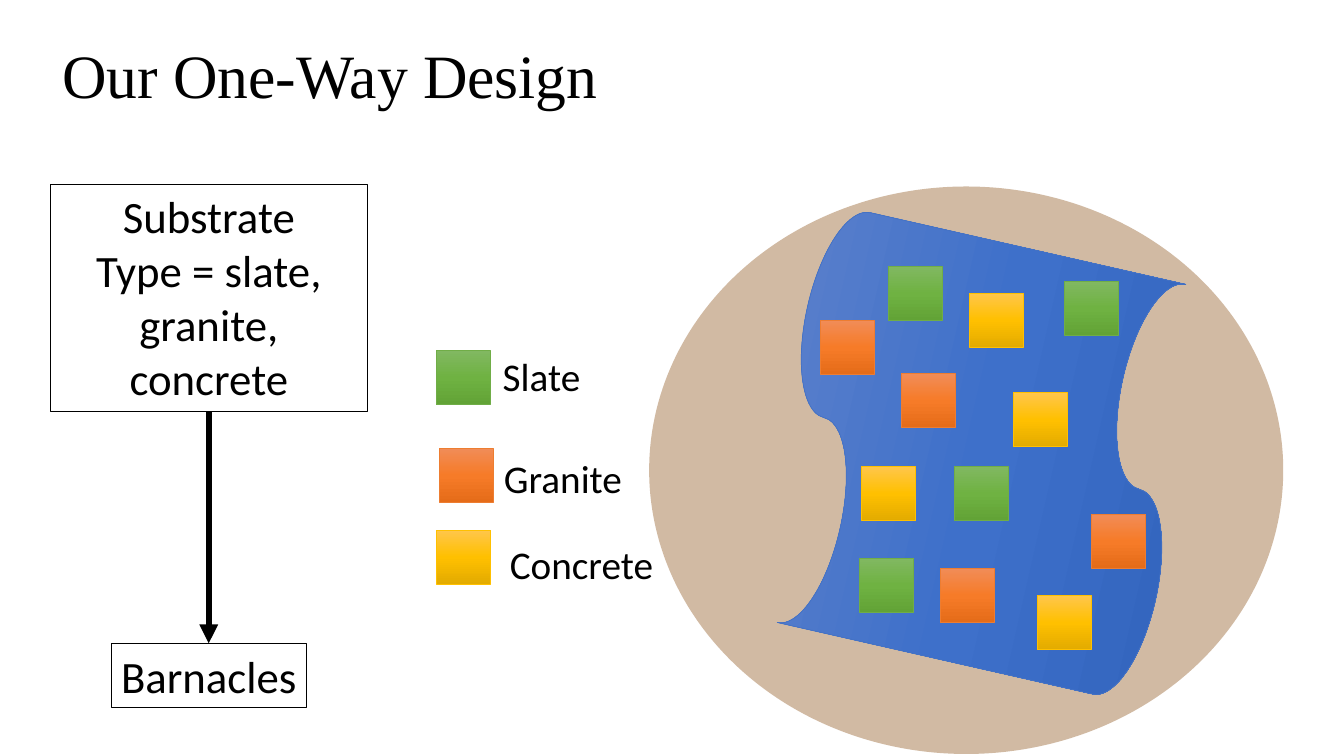
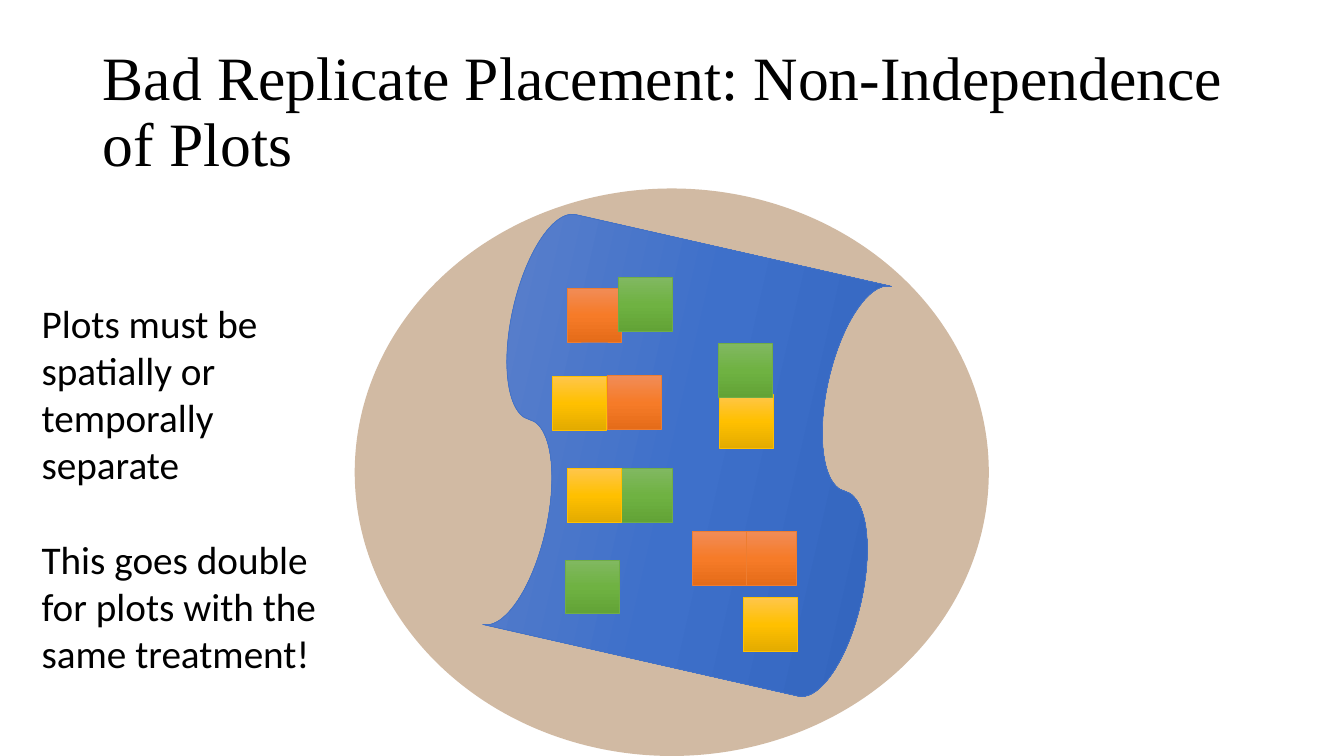
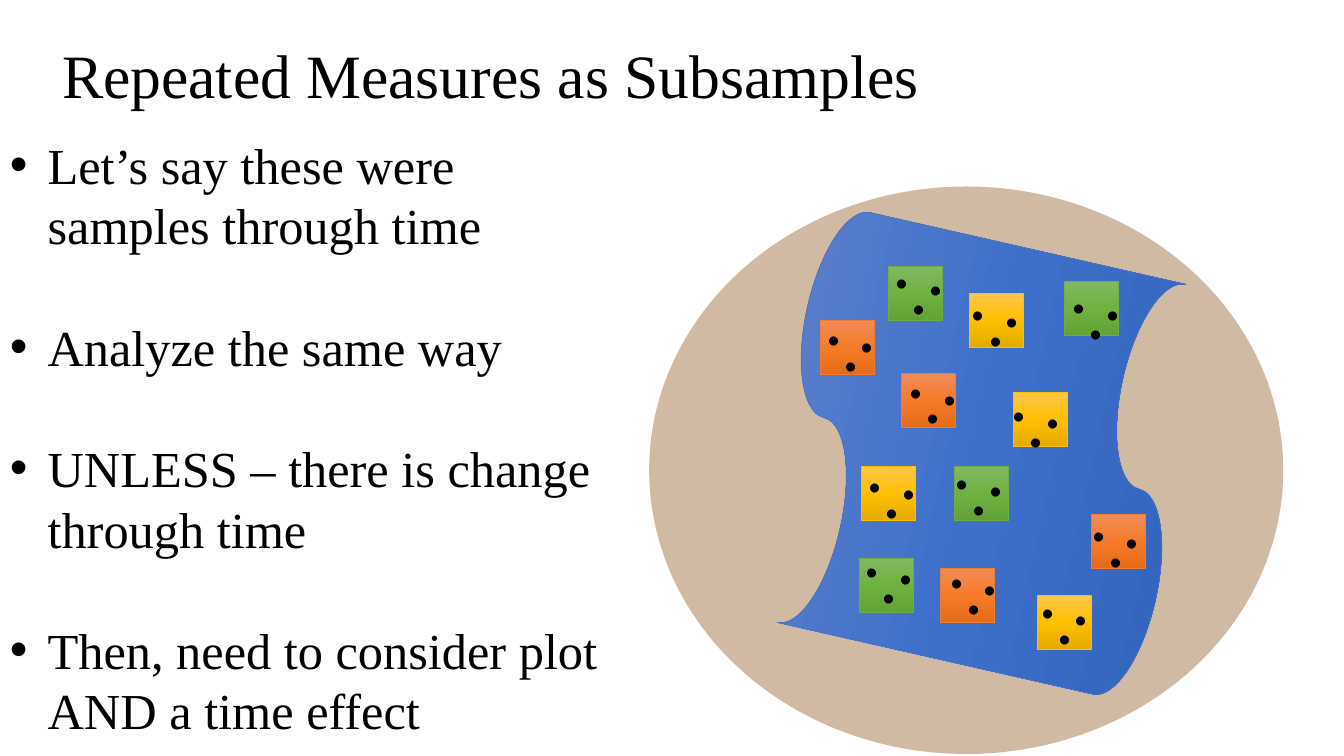
"""Build three slides on plot placement in a tide pool; lengths are in cm."""
from copy import deepcopy

from lxml.etree import SubElement
from pptx import Presentation
from pptx.dml.color import RGBColor
from pptx.enum.shapes import MSO_CONNECTOR as LINK, MSO_SHAPE as FORM
from pptx.enum.text import MSO_ANCHOR as ANCHOR, PP_ALIGN as ALIGN
from pptx.oxml.ns import qn
from pptx.util import Cm, Pt

rgb = RGBColor.from_string
BLACK, SAND = "000000", "996633"
WATER = ["6183CB", "3E70CA", "3062BB", "4472C4"]
STONES = {
    "Granite": ["F18C57", "F67B28", "E56C19", "ED7D31"],
    "Slate": ["81B861", "6FB242", "62A336", "70AD47"],
    "Concrete": ["FFC64B", "FFC000", "E3AB00", "FFC000"],
}

SERIF, SANS = "Times New Roman", "Calibri"
HEAD = {"name": SERIF, "size": Pt(44)}
BODY = {"name": SERIF, "size": Pt(36)}
BOX = {"name": SANS, "size": Pt(32)}
NOTE = {"name": SANS, "size": Pt(28)}
DOT = {"name": SANS, "size": Pt(54)}

SIDE = 1.36
INDENT = 0.95
RIGHT, MIDDLE = (16.36, 4.7), (8.94, 4.75)
HIGH, LOW = (1.32, 0.13), (2.34, 1.02)

SPREAD = [
    [(4.32, 3.38), (6.02, 2.02), (8.06, 2.69)],
    [(6.35, 4.72), (5.31, 9.37), (9.17, 5.2)],
    [(11.15, 8.26), (7.69, 7.06), (9.78, 10.31)],
    [(7.34, 9.63), (10.46, 2.39), (5.36, 7.06)],
]
PACKED = [
    [(5.36, 2.51), (6.64, 2.24), (4.98, 4.73)],
    [(6.36, 4.72), (5.31, 9.36), (9.19, 5.19)],
    [(9.78, 8.64), (6.64, 7.06), (9.79, 10.31)],
    [(8.51, 8.64), (9.16, 3.91), (5.36, 7.06)],
]
NUDGES = [
    [(-0.16, -1.4), (-0.14, -1.48), (-0.25, -1.34)],
    [(-0.12, -1.42), (-0.18, -1.55), (-0.33, -1.3)],
    [(-0.31, -1.34), (-0.3, -1.45), (-0.23, -1.45)],
    [(-0.08, -1.53), (-0.12, -1.22), (-0.16, -1.37)],
]
TRIO = [(0.43, 0.65), (0, 0), (0.85, 0.18)]


def draw(slide, kind, box, hues):
    """Add a shape with three gradient stops and a line in the fourth hue."""
    shape = slide.shapes.add_shape(kind, *map(Cm, box))
    shape.shadow.inherit = False
    shape.fill.gradient()
    shape.fill.gradient_angle = 270
    stops = shape._element.xpath(".//a:gsLst")[0]
    stops.insert(1, deepcopy(stops[0]))
    for stop, place, hue in zip(shape.fill.gradient_stops, (0, 0.5, 1), hues):
        stop.position = place
        stop.color.rgb = rgb(hue)
    shape.line.color.rgb = rgb(hues[3])
    shape.line.width = Pt(0.5)
    return shape


def write(slide, box, lines, look, wrap=True, **form):
    """Add a text box with one paragraph for each line."""
    shape = slide.shapes.add_textbox(*map(Cm, box))
    frame = shape.text_frame
    frame.word_wrap = wrap
    frame.text = "\n".join(lines)
    for para in frame.paragraphs:
        for key, value in form.items():
            setattr(para, key, value)
        font = para.runs[0].font
        for key, value in look.items():
            setattr(font, key, value)
        font.color.rgb = rgb(BLACK)
    return shape


deck = Presentation()
deck.slide_width, deck.slide_height = Cm(33.87), Cm(19.05)

slides = []
for title, corner, (left, top), plots in [
    ("Our One-Way Design", HIGH, RIGHT, SPREAD),
    ("Bad Replicate Placement: Non-Independence of Plots",
     LOW, MIDDLE, PACKED),
    ("Repeated Measures as Subsamples", HIGH, RIGHT, SPREAD),
]:
    slide = deck.slides.add_slide(deck.slide_layouts[6])
    slides.append(slide)

    shore = slide.shapes.add_shape(
        FORM.OVAL, *map(Cm, (left, top, 15.98, 14.3)))
    shore.shadow.inherit = False
    shore.fill.solid()
    shore.fill.fore_color.rgb = rgb(SAND)
    shore.line.fill.background()
    tint = shore._element.xpath("./p:spPr/a:solidFill/a:srgbClr")[0]
    SubElement(tint, qn("a:alpha"), val="45000")

    pool = draw(slide, FORM.FLOWCHART_PUNCHED_TAPE,
                (left + 3.08, top + 1.63, 10.59, 10.19), WATER)
    pool.rotation = 282.8

    for row in plots:
        for (x, y), hues in zip(row, STONES.values()):
            draw(slide, FORM.RECTANGLE, (left + x, top + y, SIDE, SIDE), hues)

    head = write(slide, (*corner, 29.21, 3.68), [title], HEAD,
                 line_spacing=0.9)
    head.text_frame.vertical_anchor = ANCHOR.MIDDLE

design, bad, repeat = slides

for box, lines, wrap in [
    ((2.8, 16.21, 4.93, 1.63), ["Barnacles"], False),
    ((1.27, 4.64, 7.99, 5.74),
     ["Substrate", "Type = slate, granite, concrete"], True),
]:
    cell = write(design, box, lines, BOX, wrap, alignment=ALIGN.CENTER)
    cell.line.color.rgb = rgb(BLACK)
    cell.line.width = Pt(0.75)

arrow = design.shapes.add_connector(
    LINK.STRAIGHT, *map(Cm, (5.26, 10.37, 5.26, 16.21)))
arrow.line.color.rgb = rgb(BLACK)
arrow.line.width = Pt(4.5)
stroke = arrow._element.xpath(".//a:ln")[0]
SubElement(stroke, qn("a:tailEnd"), type="triangle")
SubElement(arrow._element.spPr, qn("a:effectLst"))

for name, key, label, width in [
    ("Slate", (11, 8.84), (12.42, 8.75), 2.49),
    ("Granite", (11.07, 11.3), (12.45, 11.33), 3.51),
    ("Concrete", (11.01, 13.36), (12.6, 13.49), 4.17),
]:
    draw(design, FORM.RECTANGLE, (*key, SIDE, SIDE), STONES[name])
    write(design, (*label, width, 1.45), [name], NOTE, False)

write(bad, (0.8, 7.42, 8.28, 9.83), [
    "Plots must be spatially or temporally separate",
    "This goes double for plots with the same treatment!",
], NOTE, space_after=Pt(34))

points = write(repeat, (0, 3.25, 15.93, 15.65), [
    "Let’s say these were samples through time",
    "Analyze the same way",
    "UNLESS – there is change through time",
    "Then, need to consider plot AND a time effect",
], BODY, space_after=Pt(43.5))
for para in points.text_frame.paragraphs:
    props = para._p.get_or_add_pPr()
    props.set("marL", str(Cm(INDENT)))
    props.set("indent", str(Cm(-INDENT)))
    SubElement(props, qn("a:buFont"), typeface="Arial")
    SubElement(props, qn("a:buChar"), char="•")

left, top = RIGHT
for row, shifts in zip(SPREAD, NUDGES):
    for (x, y), (dx, dy) in zip(row, shifts):
        for across, down in TRIO:
            spot = left + x + dx + across, top + y + dy + down
            write(repeat, (*spot, 1.75, 2.57), ["."], DOT)

deck.save("out.pptx")
